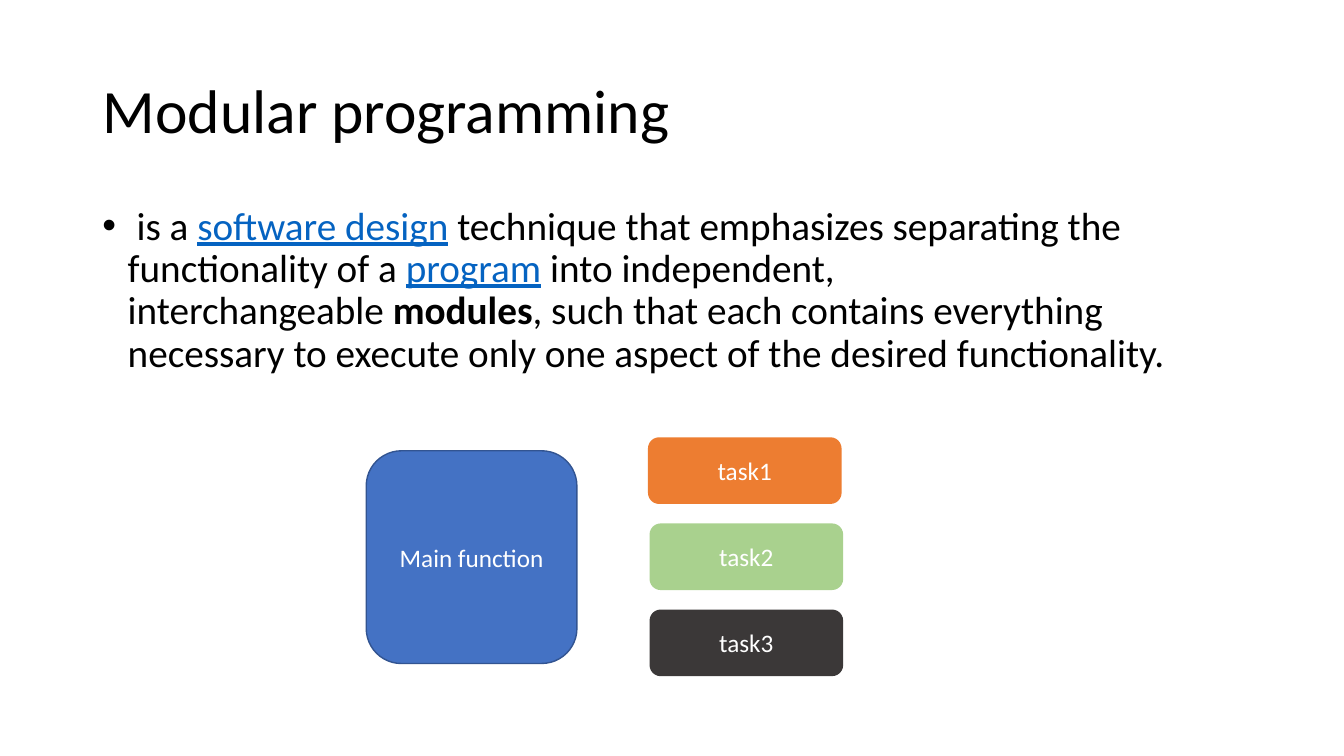
from lxml.etree import SubElement
from pptx import Presentation
from pptx.enum.shapes import MSO_SHAPE
from pptx.enum.text import MSO_ANCHOR, PP_ALIGN
from pptx.dml.color import RGBColor
from pptx.oxml.ns import qn
from pptx.util import Cm, Pt

HARD_SPACE = chr(160)
COLOURS = {
    "text": "000000",
    "link": "0563C1",
    "white": "FFFFFF",
    "main": "4472C4",
    "main_edge": "325491",
    "task1": "ED7D31",
    "task2": "A9D18E",
    "task3": "3B3838",
}


def add_span(para, text, size=18, colour="text", bold=False, underline=False, font="Calibri"):
    span = para.add_run()
    span.text = text
    span.font.name = font
    span.font.size = Pt(size)
    span.font.bold = bold
    span.font.underline = underline
    span.font.color.rgb = RGBColor.from_string(COLOURS[colour])


class SlideBuilder:
    """Hold the style and the current slide, and add elements to it."""

    def __init__(self, page):
        self.page = page
        self.line_spacing = 0.9

    def text(self, left, top, width, height, spans, size, anchor=MSO_ANCHOR.TOP):
        box = self.page.shapes.add_textbox(Cm(left), Cm(top), Cm(width), Cm(height))
        box.text_frame.word_wrap = True
        box.text_frame.vertical_anchor = anchor
        para = box.text_frame.paragraphs[0]
        para.line_spacing = self.line_spacing
        for text, style in spans:
            add_span(para, text, size=size, **style)
        return para

    def bullet(self, left, top, width, height, spans, size):
        para = self.text(left, top, width, height, spans, size)
        para.space_before = Pt(10)
        properties = para._p.get_or_add_pPr()
        properties.set("marL", str(Cm(0.64)))
        properties.set("indent", str(-Cm(0.64)))
        SubElement(properties, qn("a:buFont"), typeface="Arial")
        SubElement(properties, qn("a:buChar"), char="•")

    def block(self, left, top, width, height, label, fill, edge=None):
        box = self.page.shapes.add_shape(
            MSO_SHAPE.ROUNDED_RECTANGLE, Cm(left), Cm(top), Cm(width), Cm(height))
        box.shadow.inherit = False
        box.fill.solid()
        box.fill.fore_color.rgb = RGBColor.from_string(COLOURS[fill])
        if edge:
            box.line.color.rgb = RGBColor.from_string(COLOURS[edge])
            box.line.width = Pt(1)
        else:
            box.line.fill.background()
        box.text_frame.word_wrap = True
        box.text_frame.vertical_anchor = MSO_ANCHOR.MIDDLE
        para = box.text_frame.paragraphs[0]
        para.alignment = PP_ALIGN.CENTER
        add_span(para, label, colour="white")


def main():
    deck = Presentation()
    deck.slide_width, deck.slide_height = Cm(33.87), Cm(19.05)
    builder = SlideBuilder(deck.slides.add_slide(deck.slide_layouts[6]))

    builder.text(2.34, 1.01, 29.21, 3.68, [("Modular programming", {})], 44, MSO_ANCHOR.MIDDLE)

    link = {"colour": "link", "underline": True}
    definition = [
        (f"{HARD_SPACE}is a{HARD_SPACE}", {}),
        ("software design", link),
        (f"{HARD_SPACE}technique that emphasizes separating the "
         f"functionality of a{HARD_SPACE}", {}),
        ("program", link),
        (f"{HARD_SPACE}into independent, interchangeable{HARD_SPACE}", {}),
        ("modules", {"bold": True}),
        (", such that each contains everything necessary to execute only one aspect "
         "of the desired functionality.", {}),
    ]
    builder.bullet(2.33, 5.07, 29.21, 5.26, definition, 28)

    builder.block(9.23, 11.36, 5.31, 5.36, "Main function", "main", "main_edge")
    tasks = (("task1", 16.33), ("task2", 16.37), ("task3", 16.37))
    for index, (task, left) in enumerate(tasks):
        builder.block(left, 11.02 + index * 2.17, 4.88, 1.68, task, task)

    deck.save("out.pptx")


if __name__ == "__main__":
    main()
